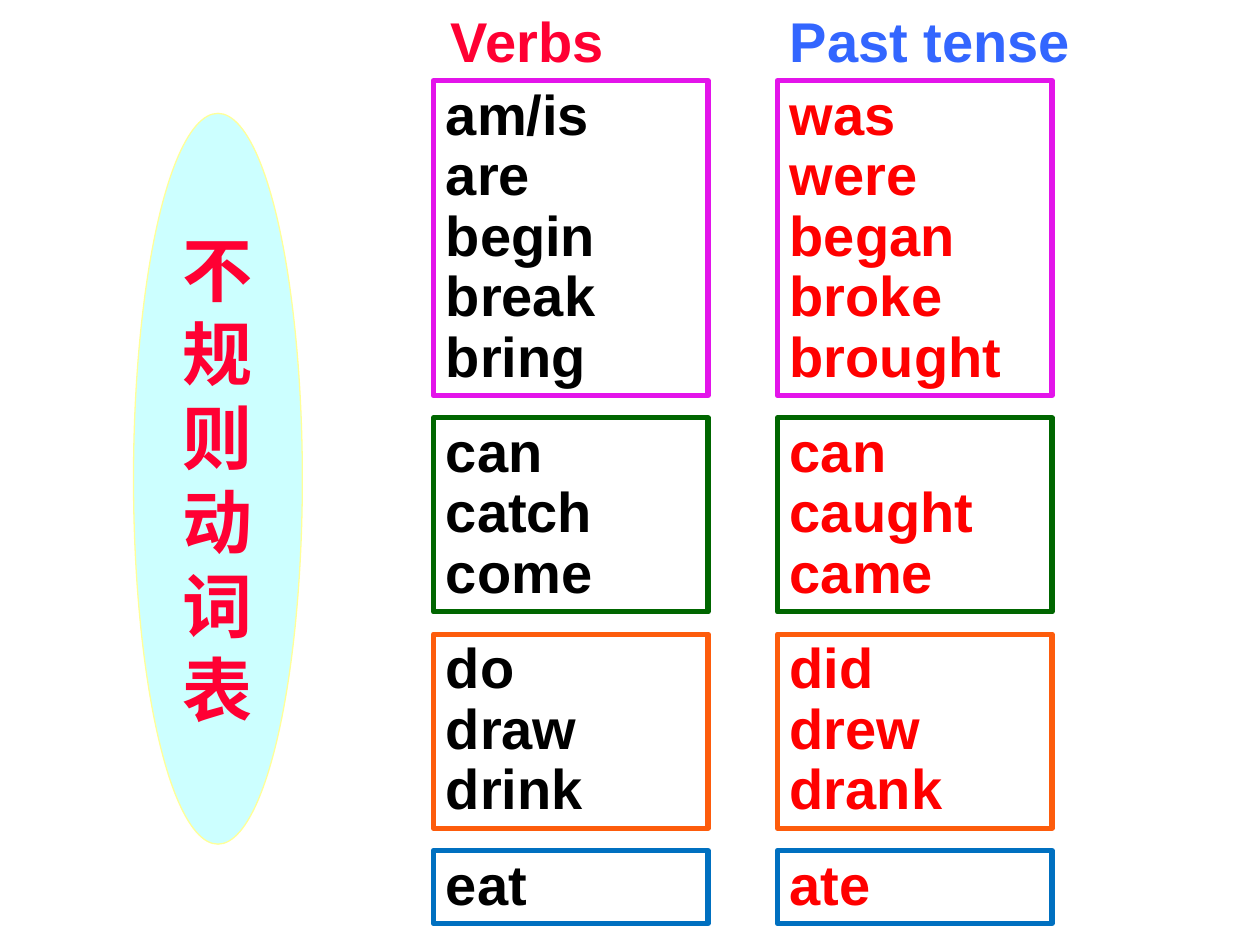
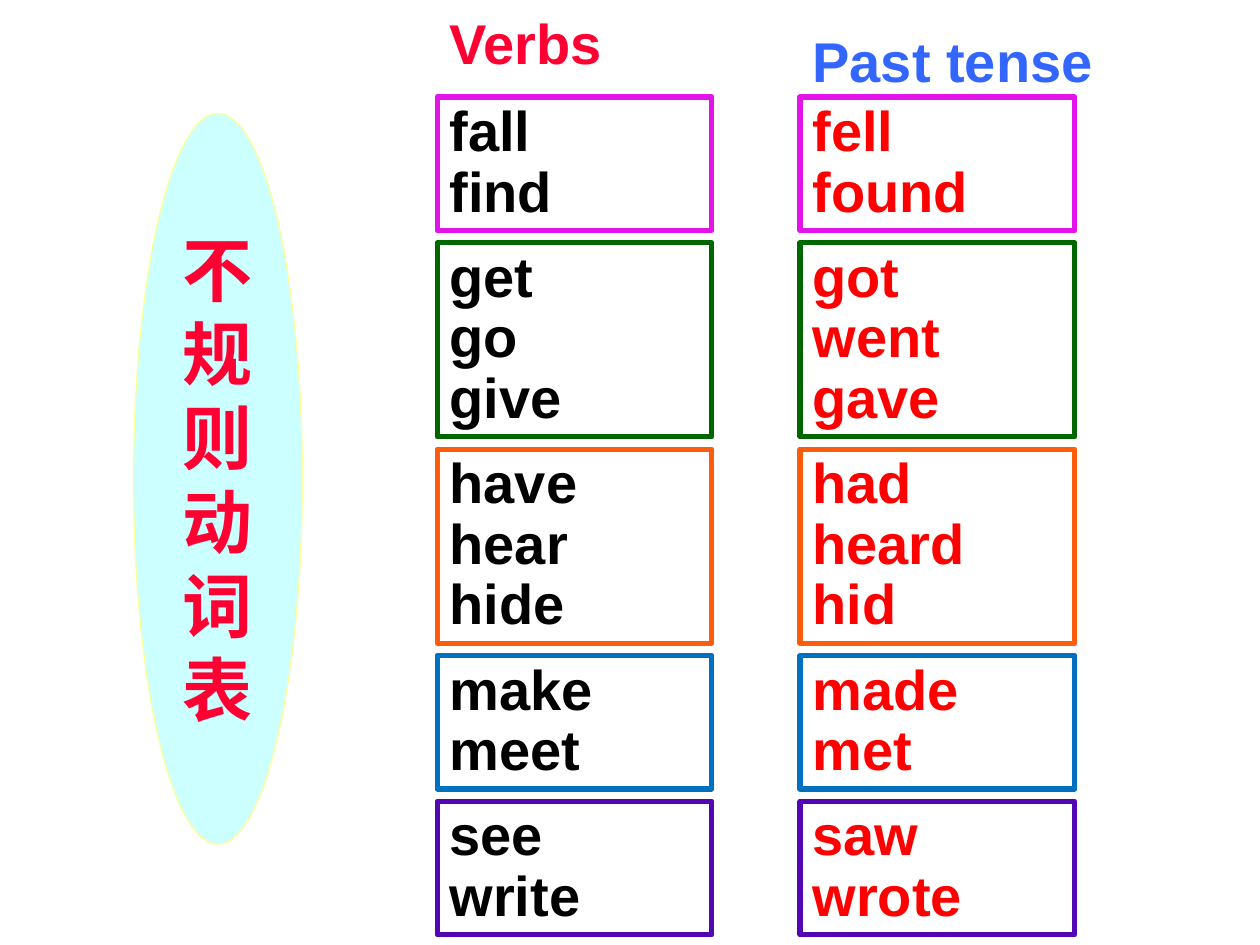
from dataclasses import dataclass

from pptx import Presentation
from pptx.dml.color import RGBColor
from pptx.enum.shapes import MSO_SHAPE
from pptx.enum.text import MSO_ANCHOR, MSO_AUTO_SIZE, PP_ALIGN
from pptx.util import Inches, Pt

OVAL, RECT = MSO_SHAPE.OVAL, MSO_SHAPE.RECTANGLE
TOP, MIDDLE = MSO_ANCHOR.TOP, MSO_ANCHOR.MIDDLE
LEFT, CENTER = PP_ALIGN.LEFT, PP_ALIGN.CENTER
GROW, FIXED = MSO_AUTO_SIZE.SHAPE_TO_FIT_TEXT, MSO_AUTO_SIZE.NONE

TITLE = "不规则动词表"

# Each group is a list of (verb, past tense) pairs.
# A heading is (text, left, top, width, line spacing).
SLIDES = [
    {
        "headings": [("Verbs", 3.48, 0, 2.43, 1.0),
                     ("Past tense", 6.17, 0, 2.97, 1.0)],
        "columns": (3.44, 6.17),
        "span": (0.64, 7.33),
        "groups": [
            [("am/is", "was"), ("are", "were"), ("begin", "began"),
             ("break", "broke"), ("bring", "brought")],
            [("can", "can"), ("catch", "caught"), ("come", "came")],
            [("do", "did"), ("draw", "drew"), ("drink", "drank")],
            [("eat", "ate")],
        ],
    },
    {
        "headings": [("Verbs", 3.47, 0.08, 2.03, 0.9),
                     ("Past tense", 6.35, 0.16, 3.12, 1.0)],
        "columns": (3.47, 6.35),
        "span": (0.77, 7.42),
        "groups": [
            [("fall", "fell"), ("find", "found")],
            [("get", "got"), ("go", "went"), ("give", "gave")],
            [("have", "had"), ("hear", "heard"), ("hide", "hid")],
            [("make", "made"), ("meet", "met")],
            [("see", "saw"), ("write", "wrote")],
        ],
    },
]


@dataclass(frozen=True)
class Theme:
    title: str = "FF0033"
    oval_fill: str = "CCFFFF"
    oval_line: str = "FFFF99"
    headings: tuple = ("FF0033", "3366FF")
    words: tuple = ("000000", "FF0000")
    frames: tuple = ("E314EA", "006600", "FD5C0C", "0070C0", "5307B2")
    title_font: str = "Times New Roman"
    word_font: str = "Arial"
    title_size: int = 40
    word_size: int = 32
    frame_width: float = 3
    oval_width: float = 0.75


THEME = Theme()
OVAL_BOX = (1.06, 0.9, 1.34, 5.8)
TITLE_BOX = (1.25, 1.75, 0.96, 4.1)
FRAME_WIDTH = 2.18
HEADING_HEIGHT = 0.6
ROW, PADDING = 0.48, 0.1


def rgb(color):
    return RGBColor.from_string(color)


def inches(box):
    return [Inches(v) for v in box]


def write(s, lines, *, color, font=THEME.word_font, size=THEME.word_size,
          align=LEFT, anchor=TOP, spacing=1.0, fit=GROW):
    tf = s.text_frame
    tf.word_wrap = True
    tf.auto_size = fit
    tf.vertical_anchor = anchor
    tf.text = "\n".join(lines)
    for p in tf.paragraphs:
        p.alignment = align
        p.line_spacing = spacing
        p.font.name = font
        p.font.size = Pt(size)
        p.font.bold = True
        p.font.color.rgb = rgb(color)


def add_outlined(slide, kind, box, line, width, fill=None):
    s = slide.shapes.add_shape(kind, *inches(box))
    s.shadow.inherit = False
    if fill:
        s.fill.solid()
        s.fill.fore_color.rgb = rgb(fill)
    else:
        s.fill.background()
    s.line.color.rgb = rgb(line)
    s.line.width = Pt(width)
    return s


def add_title(slide):
    """Set the title one character per line on an oval."""
    oval = add_outlined(slide, OVAL, OVAL_BOX, THEME.oval_line,
                        THEME.oval_width, THEME.oval_fill)
    title = slide.shapes.title
    oval.element.addnext(title.element)
    title.left, title.top, title.width, title.height = inches(TITLE_BOX)
    write(title, [TITLE], color=THEME.title, font=THEME.title_font,
          size=THEME.title_size, align=CENTER, anchor=MIDDLE, fit=FIXED)


def add_headings(slide, headings):
    for (text, left, top, width, spacing), color in zip(headings, THEME.headings):
        box = slide.shapes.add_textbox(*inches((left, top, width, HEADING_HEIGHT)))
        write(box, [text], color=color, spacing=spacing)


def add_groups(slide, groups, columns, span):
    """Stack framed groups with equal gaps so that they fill the span."""
    top, bottom = span
    heights = [PADDING + ROW * len(group) for group in groups]
    gap = (bottom - top - sum(heights)) / (len(groups) - 1)
    for group, height, frame in zip(groups, heights, THEME.frames):
        for left, words, color in zip(columns, zip(*group), THEME.words):
            s = add_outlined(slide, RECT, (left, top, FRAME_WIDTH, height),
                             frame, THEME.frame_width)
            write(s, words, color=color, spacing=0.9)
        top += height + gap


def main():
    prs = Presentation()
    prs.slide_width, prs.slide_height = Inches(10), Inches(7.5)
    title_only = prs.slide_layouts.get_by_name("Title Only")
    for content in SLIDES:
        slide = prs.slides.add_slide(title_only)
        add_title(slide)
        add_headings(slide, content["headings"])
        add_groups(slide, content["groups"], content["columns"], content["span"])
    prs.save("out.pptx")


if __name__ == "__main__":
    main()
